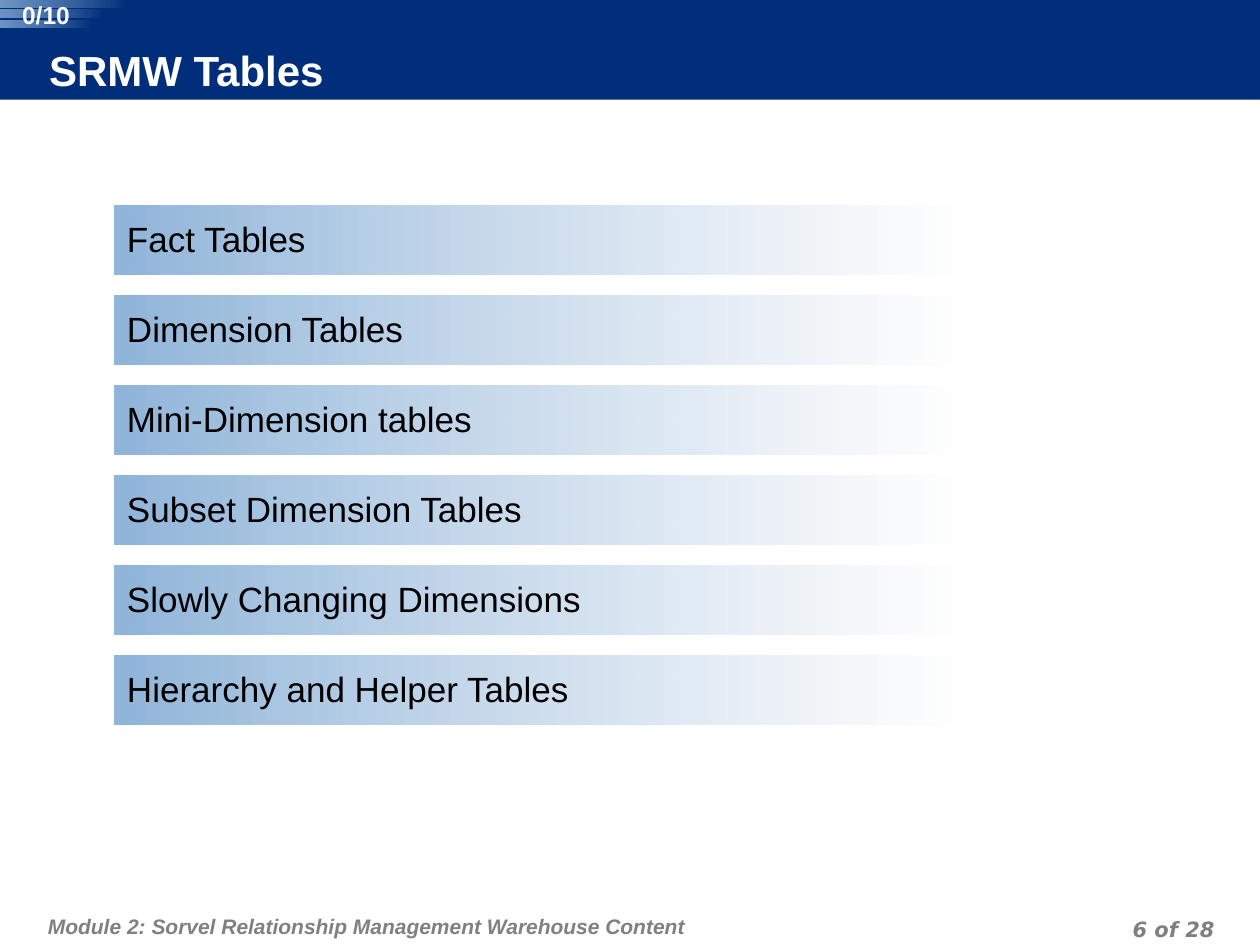
from dataclasses import dataclass

from lxml import etree
from pptx import Presentation
from pptx.dml.color import RGBColor
from pptx.enum.shapes import MSO_SHAPE
from pptx.enum.text import MSO_ANCHOR, PP_ALIGN
from pptx.oxml.ns import qn
from pptx.util import Inches, Pt

RECT, ROUND = MSO_SHAPE.RECTANGLE, MSO_SHAPE.ROUNDED_RECTANGLE
TOP, MIDDLE = MSO_ANCHOR.TOP, MSO_ANCHOR.MIDDLE
LEFT, CENTER, RIGHT = PP_ALIGN.LEFT, PP_ALIGN.CENTER, PP_ALIGN.RIGHT

NAVY, SKY, PALE, GREY = "002E7A", "90B5DA", "FEFEFE", "808080"
TOPICS = [
    "Fact Tables",
    "Dimension Tables",
    "Mini-Dimension tables",
    "Subset Dimension Tables",
    "Slowly Changing Dimensions",
    "Hierarchy and Helper Tables",
]
FIRST_TOP, LAST_TOP = 1.63, 5.2
STEP = (LAST_TOP - FIRST_TOP) / (len(TOPICS) - 1)


@dataclass
class Box:
    left: float
    top: float
    width: float
    height: float

    def emu(self) -> list:
        return [Inches(n) for n in (self.left, self.top, self.width, self.height)]


@dataclass
class Style:
    size: int
    color: str
    font: str = "Arial"
    bold: bool = True
    italic: bool = False
    align: int = LEFT
    anchor: int = TOP
    inset: tuple = (0, 0, 0, 0)
    line: int | None = None


@dataclass
class Stop:
    color: str
    alpha: int = 100


TITLE = Style(24, "FFFFFF", anchor=MIDDLE, inset=(0, 0, 0.05, 0.05))
TOPIC = Style(20, "000000", bold=False, inset=(0.1, 0.1, 0.1, 0.05))
COUNT = Style(14, "F8F8F8", align=CENTER)
MODULE = Style(12, GREY, italic=True, inset=(0.05, 0.1, 0.05, 0.05), line=18)
PAGE = Style(12, GREY, "DejaVu Sans", italic=True, align=RIGHT,
             inset=(0.05, 0, 0.05, 0), line=18)


def rgb(color: str) -> RGBColor:
    return RGBColor.from_string(color)


def add_shape(slide, kind: int, box: Box):
    shape = slide.shapes.add_shape(kind, *box.emu())
    shape.shadow.inherit = False
    shape.line.fill.background()
    return shape


def add_fade(slide, box: Box, stops: list[Stop]):
    """Add a square-cornered bar that fades from right to left."""
    bar = add_shape(slide, ROUND, box)
    bar.adjustments[0] = 0
    bar.fill.gradient()
    bar.fill.gradient_angle = 180
    for mark, stop in zip(bar.fill.gradient_stops, stops):
        mark.color.rgb = rgb(stop.color)
    for node, stop in zip(bar._element.spPr.iter(qn("a:srgbClr")), stops):
        if stop.alpha < 100:
            etree.SubElement(node, qn("a:alpha"), val=str(stop.alpha * 1000))
    return bar


def set_text(shape, text: str, style: Style) -> None:
    frame = shape.text_frame
    frame.text = text
    frame.word_wrap = True
    frame.vertical_anchor = style.anchor
    (frame.margin_left, frame.margin_top,
     frame.margin_right, frame.margin_bottom) = map(Inches, style.inset)
    para = frame.paragraphs[0]
    para.alignment = style.align
    if style.line:
        para.line_spacing = Pt(style.line)
    font = para.runs[0].font
    font.name, font.size = style.font, Pt(style.size)
    font.bold, font.italic = style.bold, style.italic
    font.color.rgb = rgb(style.color)


def add_label(slide, box: Box, text: str, style: Style) -> None:
    set_text(slide.shapes.add_textbox(*box.emu()), text, style)


def main() -> None:
    deck = Presentation()
    deck.slide_width, deck.slide_height = Inches(10), Inches(7.5)
    slide = deck.slides.add_slide(deck.slide_layouts[6])

    band = add_shape(slide, RECT, Box(0, 0, 10, 0.79))
    band.fill.solid()
    band.fill.fore_color.rgb = rgb(NAVY)

    add_label(slide, Box(0.33, 7.1, 6.18, 0.4),
              "Module 2: Sorvel Relationship Management Warehouse Content", MODULE)
    add_label(slide, Box(7.36, 7.22, 2.33, 0.25), "6 of 28", PAGE)
    add_label(slide, Box(0.39, 0.38, 7.87, 0.4), "SRMW Tables", TITLE)

    for i, topic in enumerate(TOPICS):
        box = Box(0.91, FIRST_TOP + i * STEP, 6.66, 0.55)
        bar = add_fade(slide, box, [Stop(PALE, 75), Stop(SKY)])
        set_text(bar, topic, TOPIC)

    for i, width in enumerate((1.01, 0.82, 0.73)):
        add_fade(slide, Box(0, i * 0.08, width, 0.06), [Stop(NAVY), Stop(SKY, 76)])
    add_label(slide, Box(0.11, 0, 0.51, 0.23), "0/10", COUNT)

    deck.save("out.pptx")


if __name__ == "__main__":
    main()
